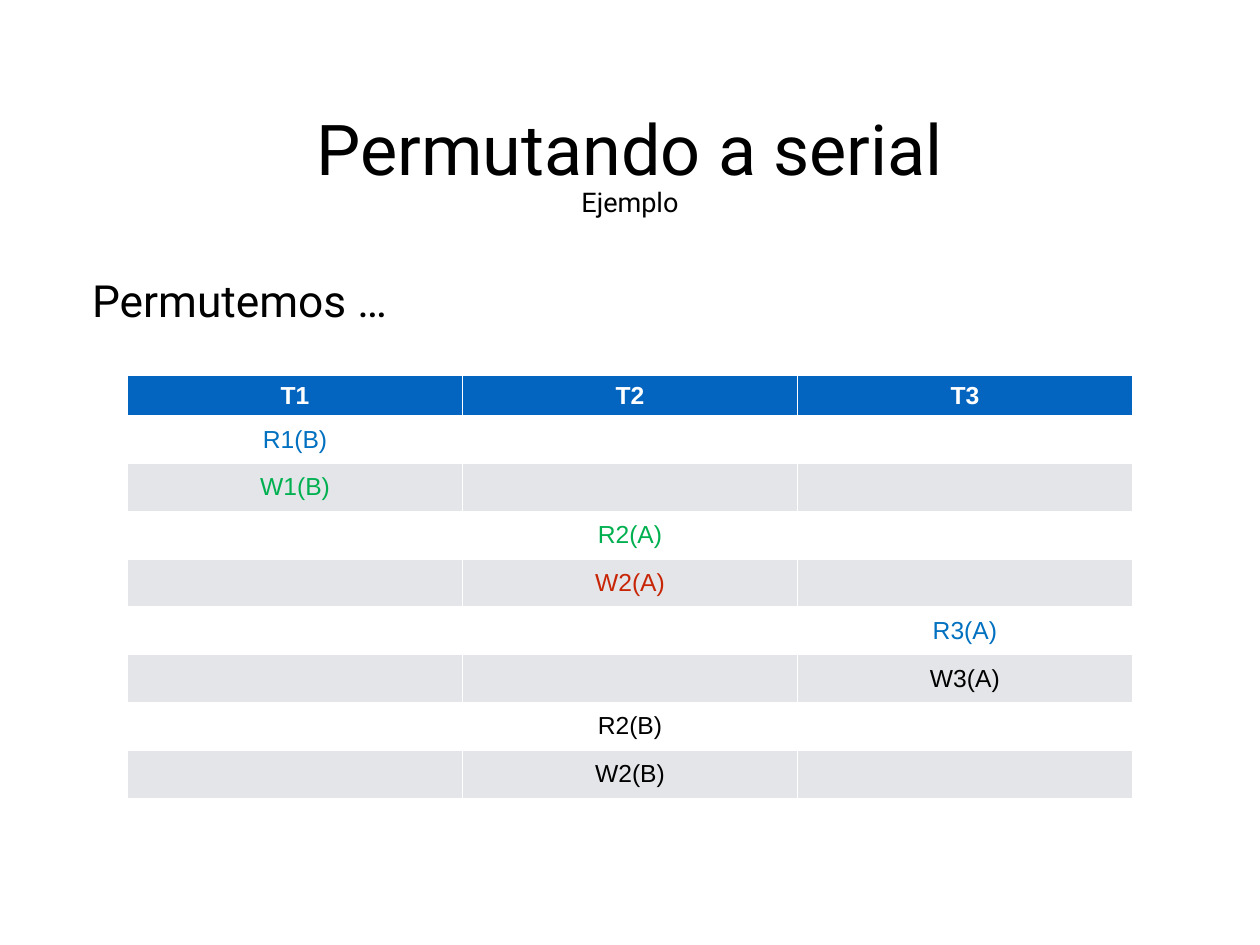
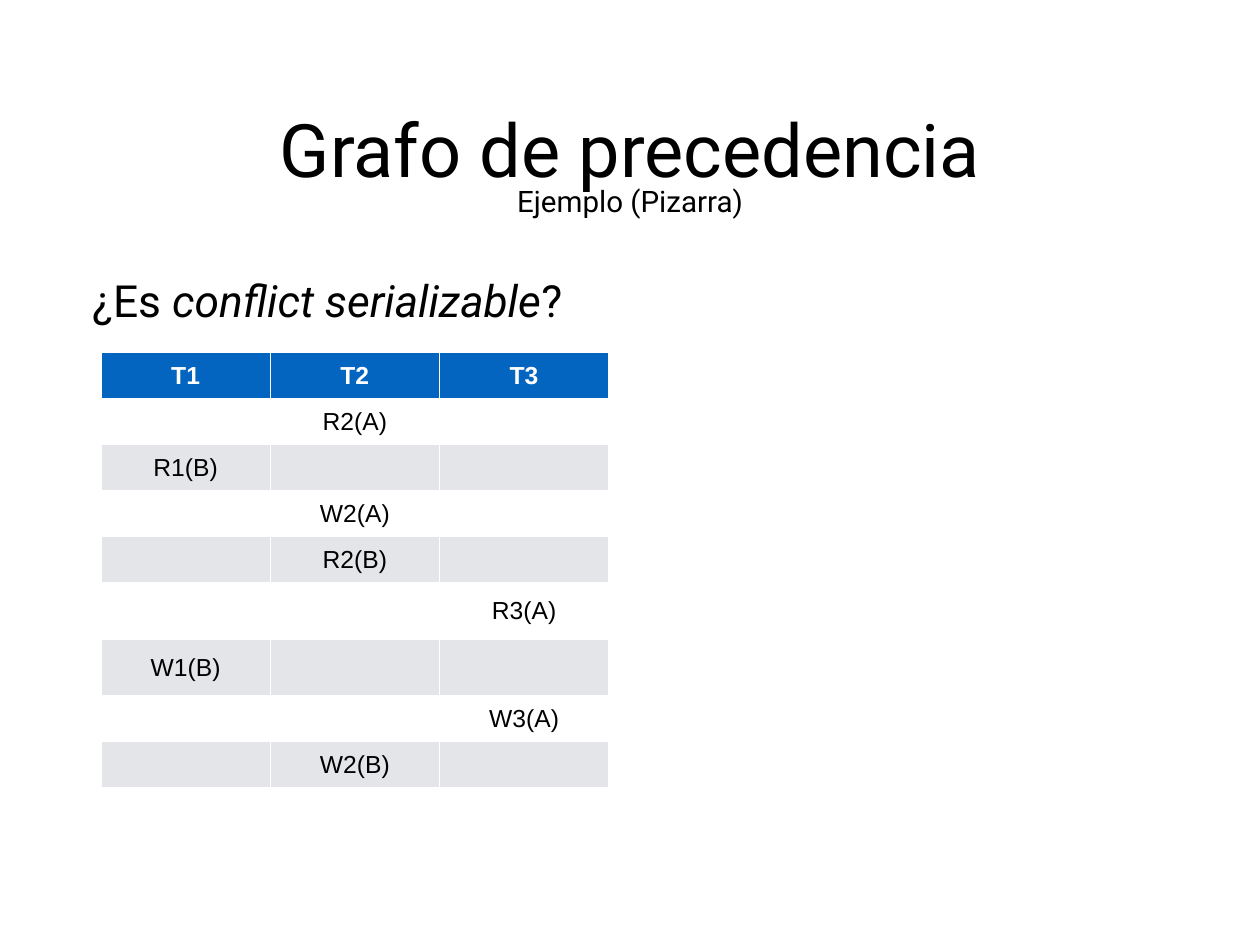
from dataclasses import dataclass

from pptx import Presentation
from pptx.dml.color import RGBColor
from pptx.enum.text import MSO_ANCHOR as Anchor, PP_ALIGN as Align
from pptx.util import Inches, Pt

# Shared look
SLIDE_W, SLIDE_H = 14.22, 10.67
COLORS = {
    "page": "FFFFFF", "text": "000000", "header": "0365C0", "header_text": "FFFFFF",
    "band": "E3E5E8", "blue": "0070C0", "green": "00B050", "red": "C82506",
}
TITLE_FONT, TABLE_FONT = "Roboto", "Arial"
INSET = Inches(0.06)
FRAME_FORMAT = {"margin_left": INSET, "margin_right": INSET, "margin_top": INSET,
                "margin_bottom": INSET, "vertical_anchor": Anchor.MIDDLE}
CELL_FORMAT = FRAME_FORMAT
TRANSACTIONS = ("T1", "T2", "T3")


@dataclass(frozen=True)
class Span:
    text: str
    italic: bool = False


@dataclass(frozen=True)
class Heading:
    text: str
    size: float
    top: float
    width: float
    height: float


@dataclass(frozen=True)
class Step:
    """One operation; the digit in its name tells its transaction."""
    operation: str
    color: str = "text"
    height: float = 0.52

    @property
    def column(self) -> int:
        return int(self.operation[1]) - 1


@dataclass(frozen=True)
class Schedule:
    left: float
    top: float
    column_width: float
    header_height: float
    steps: tuple[Step, ...]


@dataclass(frozen=True)
class Lesson:
    title: Heading
    subtitle: Heading
    prompt: tuple[Span, ...]
    schedule: Schedule


LESSONS = (
    Lesson(
        Heading("Permutando a serial", 57, 1.15, 7.31, 1.03),
        Heading("Ejemplo", 22, 2.04, 1.26, 0.48),
        (Span("Permutemos …"),),
        Schedule(1.44, 4.24, 3.78, 0.45, (
            Step("R1(B)", "blue", 0.54), Step("W1(B)", "green", 0.54),
            Step("R2(A)", "green", 0.54), Step("W2(A)", "red", 0.54),
            Step("R3(A)", "blue", 0.54), Step("W3(A)", "text", 0.54),
            Step("R2(B)", "text", 0.54), Step("W2(B)", "text", 0.54),
        )),
    ),
    Lesson(
        Heading("Grafo de precedencia", 60, 1.12, 8.35, 1.09),
        Heading("Ejemplo (Pizarra)", 24, 2.02, 2.68, 0.5),
        (Span("¿Es "), Span("conflict serializable", italic=True), Span("?")),
        Schedule(1.14, 3.98, 1.91, 0.52, (
            Step("R2(A)"), Step("R1(B)"), Step("W2(A)"), Step("R2(B)"),
            Step("R3(A)", height=0.64), Step("W1(B)", height=0.64),
            Step("W3(A)"), Step("W2(B)"),
        )),
    ),
)


def rgb(name: str) -> RGBColor:
    return RGBColor.from_string(COLORS[name])


def apply_format(target, values: dict) -> None:
    for attribute, value in values.items():
        setattr(target, attribute, value)


def add_span(paragraph, text: str, color: str, **font_format) -> None:
    run = paragraph.add_run()
    run.text = text
    apply_format(run.font, font_format)
    run.font.color.rgb = rgb(color)


def add_line(slide, box: tuple[float, ...], spans: tuple[Span, ...],
             size: float, align: Align) -> None:
    frame = slide.shapes.add_textbox(*map(Inches, box)).text_frame
    # Centred headings stay on one line; left-aligned text wraps
    apply_format(frame, {**FRAME_FORMAT, "word_wrap": align == Align.LEFT})
    paragraph = frame.paragraphs[0]
    paragraph.alignment = align
    for span in spans:
        add_span(paragraph, span.text, "text", name=TITLE_FONT,
                 size=Pt(size), italic=span.italic)


def add_heading(slide, heading: Heading) -> None:
    left = (SLIDE_W - heading.width) / 2
    add_line(slide, (left, heading.top, heading.width, heading.height),
             (Span(heading.text),), heading.size, Align.CENTER)


def write_cell(cell, text: str, color: str, bold: bool = False) -> None:
    apply_format(cell, CELL_FORMAT)
    paragraph = cell.text_frame.paragraphs[0]
    paragraph.alignment = Align.CENTER
    add_span(paragraph, text, color, name=TABLE_FONT, size=Pt(20), bold=bold)


def add_schedule(slide, schedule: Schedule) -> None:
    heights = [schedule.header_height, *(step.height for step in schedule.steps)]
    columns = len(TRANSACTIONS)
    table = slide.shapes.add_table(
        len(heights), columns, Inches(schedule.left), Inches(schedule.top),
        Inches(schedule.column_width * columns), Inches(sum(heights))).table
    for column in table.columns:
        column.width = Inches(schedule.column_width)

    # Header colour, then alternating bands
    for index, (row, height) in enumerate(zip(table.rows, heights)):
        row.height = Inches(height)
        fill = "header" if index == 0 else "page" if index % 2 else "band"
        for cell in row.cells:
            cell.fill.solid()
            cell.fill.fore_color.rgb = rgb(fill)

    # Each operation goes under its own transaction
    for column, name in enumerate(TRANSACTIONS):
        write_cell(table.cell(0, column), name, "header_text", bold=True)
    for row, step in enumerate(schedule.steps, start=1):
        write_cell(table.cell(row, step.column), step.operation, step.color)


def add_lesson(deck, lesson: Lesson) -> None:
    slide = deck.slides.add_slide(deck.slide_layouts[6])
    slide.background.fill.solid()
    slide.background.fill.fore_color.rgb = rgb("page")
    add_heading(slide, lesson.title)
    add_heading(slide, lesson.subtitle)
    add_line(slide, (0.98, 3.04, 12.26, 0.69), lesson.prompt, 36, Align.LEFT)
    add_schedule(slide, lesson.schedule)


def main() -> None:
    deck = Presentation()
    deck.slide_width, deck.slide_height = Inches(SLIDE_W), Inches(SLIDE_H)
    for lesson in LESSONS:
        add_lesson(deck, lesson)
    deck.save("out.pptx")


if __name__ == "__main__":
    main()
